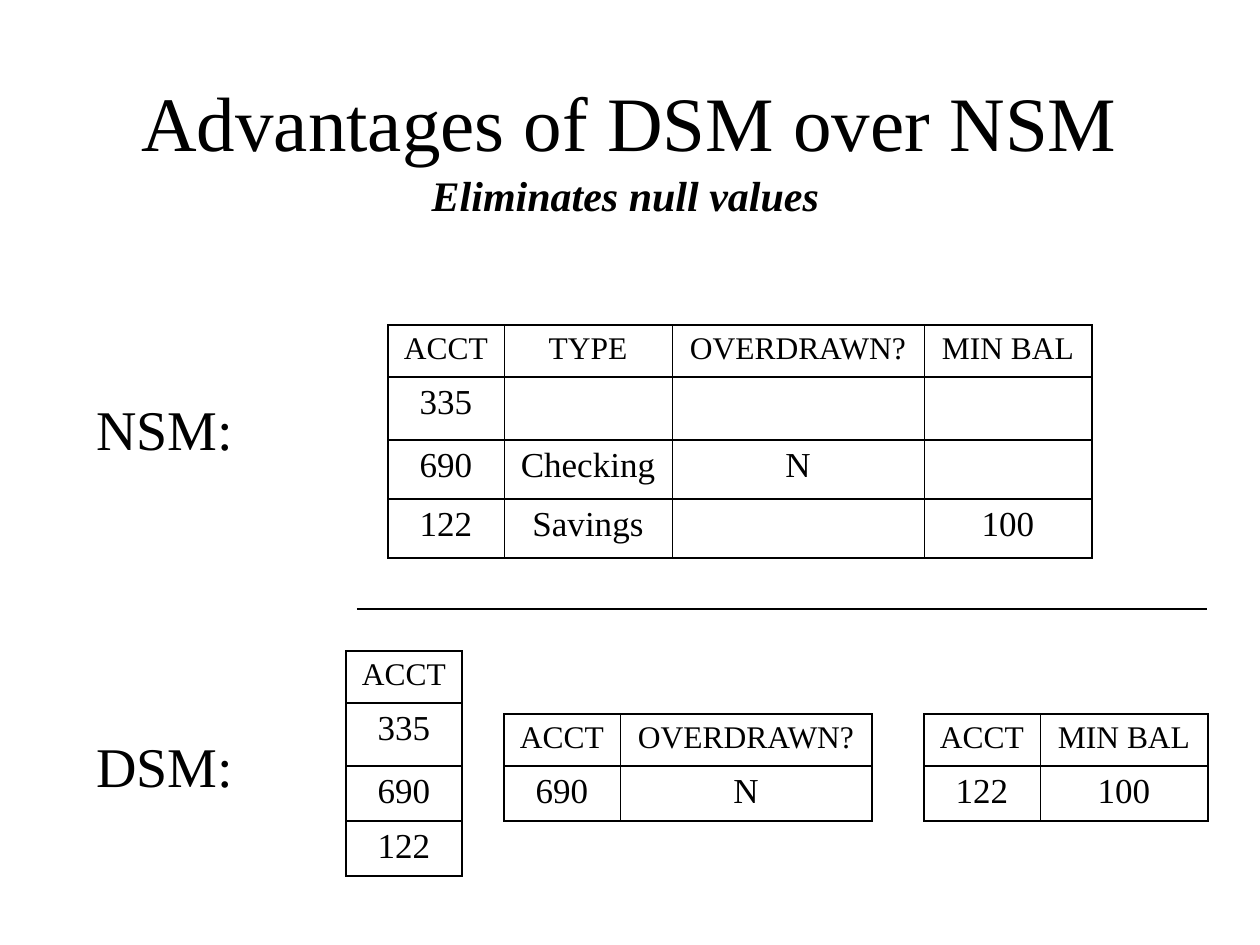
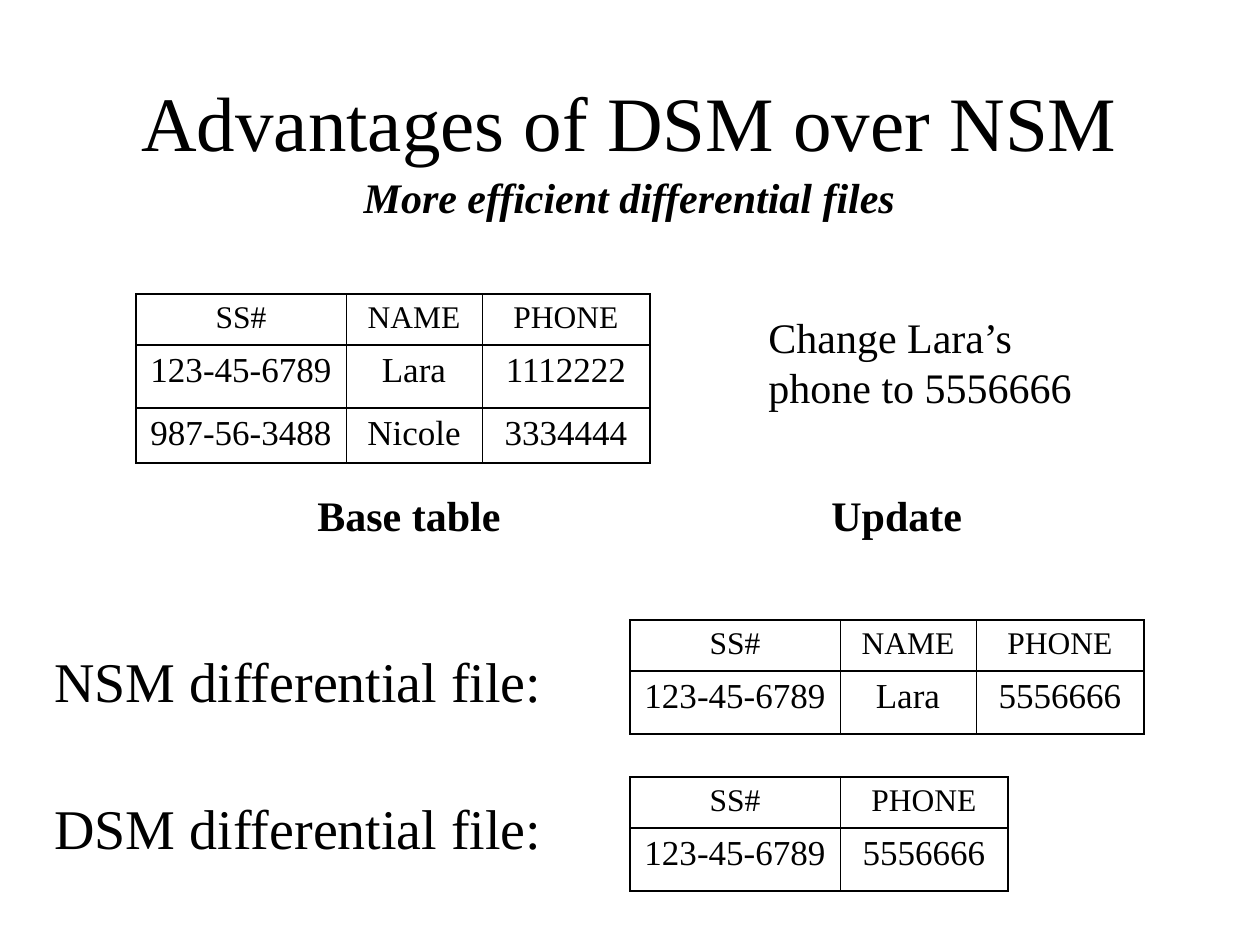
from lxml import etree
from pptx import Presentation
from pptx.dml.color import RGBColor
from pptx.enum.shapes import MSO_CONNECTOR
from pptx.enum.text import MSO_ANCHOR, MSO_AUTO_SIZE, PP_ALIGN
from pptx.oxml.ns import qn
from pptx.util import Emu, Pt

BLACK = RGBColor(0x00, 0x00, 0x00)
FONT = "Times New Roman"
LEFT, CENTER = PP_ALIGN.LEFT, PP_ALIGN.CENTER
TOP, MIDDLE = MSO_ANCHOR.TOP, MSO_ANCHOR.MIDDLE
PX_PER_INCH = 126
THICK, THIN = 1.08, 0.45

TITLE = "Advantages of DSM over NSM"
TITLE_BOX = (94, 42, 1071, 158)
COLUMN_WIDTHS = {"ACCT": 116, "TYPE": 168, "OVERDRAWN?": 252, "MIN BAL": 168,
                 "SS#": 210, "NAME": 136, "PHONE": 168}

# Labels: text, box (left, top, width, height), size, bold
# Tables: left, top, row heights, rows (the first row names the columns)
SLIDES = [
    {
        "subtitle": ("Eliminates null values", (410, 168, 431, 53)),
        "labels": [
            ("NSM:", (84, 388, 179, 81), 32, False),
            ("DSM:", (84, 725, 179, 81), 32, False),
        ],
        "tables": [
            (388, 325, (52, 63, 59, 59), [
                ("ACCT", "TYPE", "OVERDRAWN?", "MIN BAL"),
                ("335", "", "", ""),
                ("690", "Checking", "N", ""),
                ("122", "Savings", "", "100")]),
            (346, 651, (52, 63, 55, 55), [("ACCT",), ("335",), ("690",), ("122",)]),
            (504, 714, (52, 55), [("ACCT", "OVERDRAWN?"), ("690", "N")]),
            (924, 714, (52, 55), [("ACCT", "MIN BAL"), ("122", "100")]),
        ],
        "dividers": [(357, 609, 1207, 609)],
    },
    {
        "subtitle": ("More efficient differential files", (346, 158, 567, 78)),
        "labels": [
            ("Change Lara’s phone to 5556666", (756, 305, 336, 113), 24, False),
            ("Base table", (305, 483, 220, 63), 24, True),
            ("Update", (819, 483, 199, 63), 24, True),
            ("NSM differential file:", (42, 640, 514, 81), 32, False),
            ("DSM differential file:", (42, 787, 514, 81), 32, False),
        ],
        "tables": [
            (136, 294, (51, 63, 55), [
                ("SS#", "NAME", "PHONE"),
                ("123-45-6789", "Lara", "1112222"),
                ("987-56-3488", "Nicole", "3334444")]),
            (630, 620, (51, 63), [
                ("SS#", "NAME", "PHONE"), ("123-45-6789", "Lara", "5556666")]),
            (630, 777, (51, 63), [
                ("SS#", "PHONE"), ("123-45-6789", "5556666")]),
        ],
        "dividers": [],
    },
]


def px(n):
    return Emu(round(n * 914400 / PX_PER_INCH))


def write(tf, text, size, align, bold=False, italic=False):
    p = tf.paragraphs[0]
    p.text = text
    p.alignment = align
    for r in p.runs:
        r.font.name, r.font.size = FONT, Pt(size)
        r.font.bold, r.font.italic = bold, italic
        r.font.color.rgb = BLACK


def add_text(s, text, box, size, align=LEFT, anchor=TOP, **style):
    tf = s.shapes.add_textbox(*map(px, box)).text_frame
    tf.word_wrap = True
    tf.vertical_anchor = anchor
    if anchor == TOP:
        tf.auto_size = MSO_AUTO_SIZE.SHAPE_TO_FIT_TEXT
    write(tf, text, size, align, **style)


def set_borders(cell, left, right):
    """Rule all four sides; top and bottom are always thick."""
    tc_pr = cell._tc.get_or_add_tcPr()
    sides = (("a:lnL", left), ("a:lnR", right), ("a:lnT", THICK), ("a:lnB", THICK))
    for i, (tag, width) in enumerate(sides):
        ln = etree.Element(qn(tag), w=str(Pt(width)))
        fill = etree.SubElement(ln, qn("a:solidFill"))
        etree.SubElement(fill, qn("a:srgbClr"), val=str(BLACK))
        tc_pr.insert(i, ln)


def add_grid(s, left, top, heights, rows):
    widths = [COLUMN_WIDTHS[name] for name in rows[0]]
    table = s.shapes.add_table(len(rows), len(widths), px(left), px(top),
                               px(sum(widths)), px(sum(heights))).table
    table.first_row = table.horz_banding = False
    for column, width in zip(table.columns, widths):
        column.width = px(width)
    last = len(widths) - 1
    for i, values in enumerate(rows):
        table.rows[i].height = px(heights[i])
        for j, value in enumerate(values):
            cell = table.cell(i, j)
            cell.fill.background()
            write(cell.text_frame, value, 20 if i else 18, CENTER)
            set_borders(cell, THIN if j else THICK, THIN if j < last else THICK)


def add_divider(s, *ends):
    line = s.shapes.add_connector(MSO_CONNECTOR.STRAIGHT, *map(px, ends))
    line.line.color.rgb = BLACK
    line.line.width = Pt(0.75)
    etree.SubElement(line._element.spPr, qn("a:effectLst"))


def main():
    prs = Presentation()
    prs.slide_width, prs.slide_height = px(1260), px(945)
    for content in SLIDES:
        s = prs.slides.add_slide(prs.slide_layouts[6])
        add_text(s, TITLE, TITLE_BOX, 44, CENTER, MIDDLE)
        add_text(s, *content["subtitle"], 24, CENTER, MIDDLE, bold=True, italic=True)
        for grid in content["tables"]:
            add_grid(s, *grid)
        for ends in content["dividers"]:
            add_divider(s, *ends)
        for text, box, size, bold in content["labels"]:
            add_text(s, text, box, size, bold=bold)
    prs.save("out.pptx")


if __name__ == "__main__":
    main()
